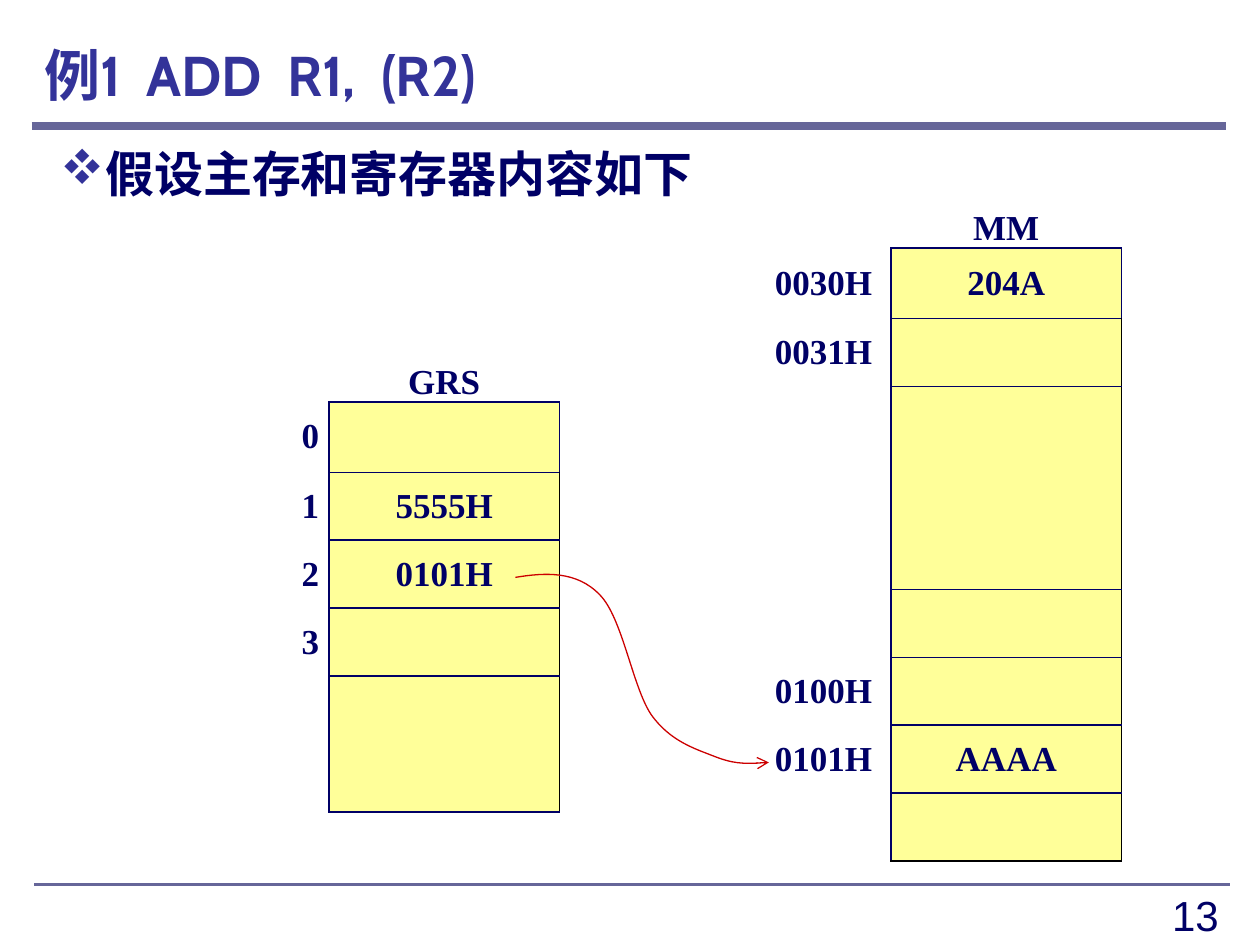
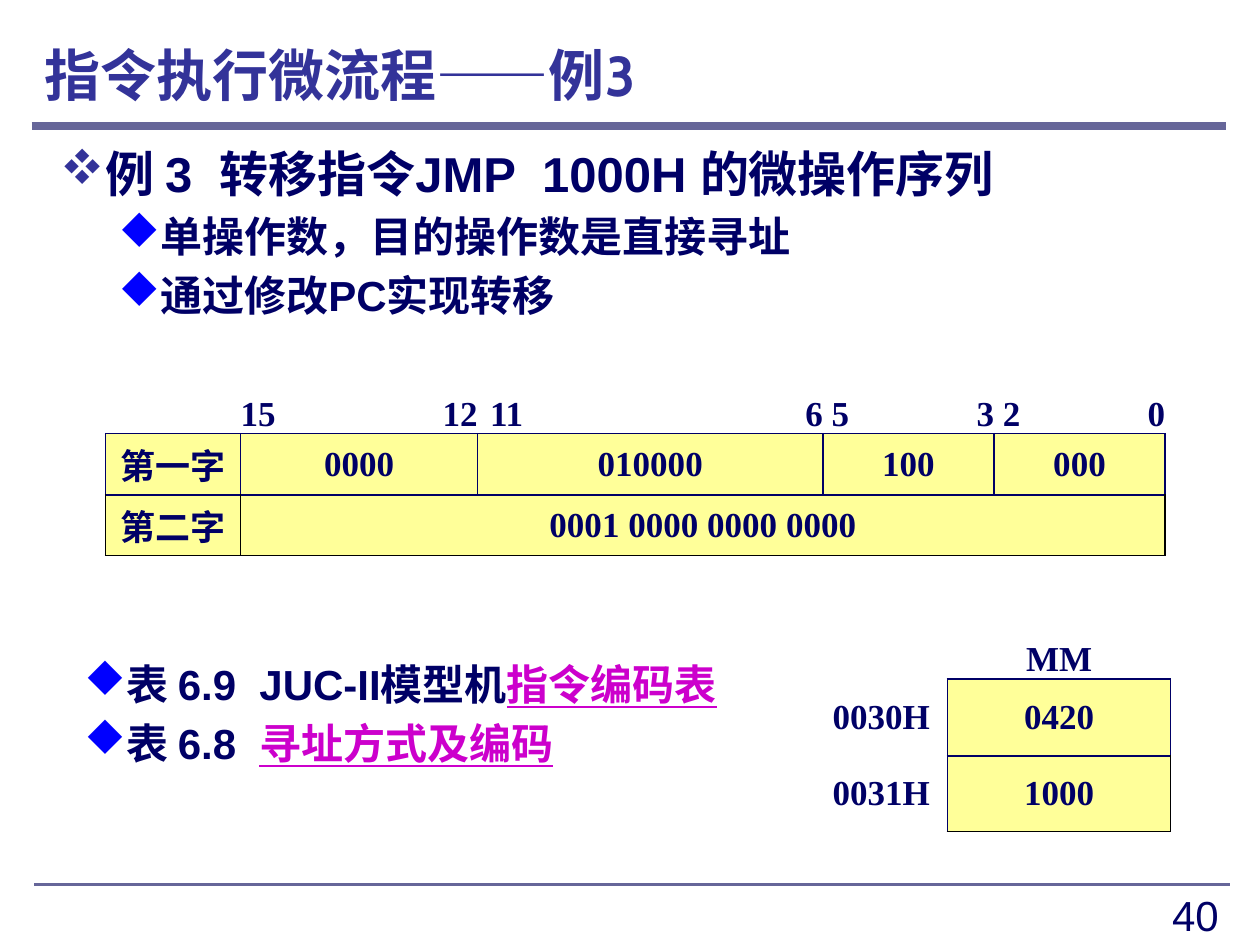
import pptx
import pptx.util
import pptx.dml.color
import pptx.enum.shapes
import pptx.enum.text
from lxml import etree
from pptx.oxml.ns import qn
from pptx.util import Cm, Pt

RGBColor = pptx.dml.color.RGBColor
Align = pptx.enum.text.PP_ALIGN
Anchor = pptx.enum.text.MSO_ANCHOR

NAVY = RGBColor(0x00, 0x00, 0x66)
INDIGO = RGBColor(0x33, 0x33, 0x99)
SLATE = RGBColor(0x66, 0x66, 0x99)
BLUE = RGBColor(0x00, 0x00, 0xFF)
MAGENTA = RGBColor(0xCC, 0x00, 0xCC)
RED = RGBColor(0xCC, 0x00, 0x00)
YELLOW = RGBColor(0xFF, 0xFF, 0x99)
BLACK = RGBColor(0x00, 0x00, 0x00)

NO_GRID_STYLE = "{2D5ABB26-0587-4C30-8999-92F81FD0307C}"

# Wingdings bullets by outline level: character, colour, text size
BULLETS = [("v", INDIGO, 28), ("u", BLUE, 24)]


# ---- Text ----
def add_run(paragraph, text, font, size, color=NAVY, bold=True, underline=None):
    run = paragraph.add_run()
    run.text = text
    run.font.name = font
    run.font.size = Pt(size)
    run.font.bold = bold
    run.font.underline = underline
    run.font.color.rgb = color


def add_bullet(paragraph, level, margin, indent):
    char, color, _ = BULLETS[level]
    paragraph.level = level
    props = paragraph._p.get_or_add_pPr()
    props.set("marL", str(Cm(margin)))
    props.set("indent", str(Cm(indent)))
    bullet_color = etree.SubElement(props, qn("a:buClr"))
    etree.SubElement(bullet_color, qn("a:srgbClr"), val=str(color))
    etree.SubElement(props, qn("a:buFont"), typeface="Wingdings")
    etree.SubElement(props, qn("a:buChar"), char=char)


def add_outline(slide, box, items, indents, inset=None):
    """Each item is a level followed by (text, is_link) pairs."""
    frame = slide.shapes.add_textbox(*map(Cm, box)).text_frame
    frame.word_wrap = True
    if inset is not None:
        frame.margin_left = frame.margin_right = Cm(inset)
        frame.margin_top = frame.margin_bottom = Cm(inset)
    for number, (level, *parts) in enumerate(items):
        paragraph = frame.add_paragraph() if number else frame.paragraphs[0]
        size = BULLETS[level][2]
        add_bullet(paragraph, level, *indents[level])
        if number:
            paragraph.space_before = Pt(size * 0.2)
        for text, is_link in parts:
            add_run(paragraph, text, "Arial", size,
                    MAGENTA if is_link else NAVY, underline=is_link or None)


# ---- Frame shared by the slides ----
def add_rule(slide, left, right, y, width):
    rule = slide.shapes.add_connector(
        pptx.enum.shapes.MSO_CONNECTOR.STRAIGHT,
        Cm(left), Cm(y), Cm(right), Cm(y))
    rule.line.color.rgb = SLATE
    rule.line.width = Pt(width)
    etree.SubElement(rule._element.spPr, qn("a:effectLst"))


def add_framed_slide(prs, title_text, page):
    slide = prs.slides.add_slide(prs.slide_layouts[5])
    add_rule(slide, 0.64, 24.71, 2.54, 4.5)
    add_rule(slide, 0.69, 24.79, 17.83, 1.5)

    title = slide.shapes.title
    title.left, title.top, title.width, title.height = map(
        Cm, (0.64, 0.64, 24.08, 1.7))
    title.text_frame.vertical_anchor = Anchor.MIDDLE
    title.text_frame.auto_size = pptx.enum.text.MSO_AUTO_SIZE.NONE
    heading = title.text_frame.paragraphs[0]
    heading.alignment = Align.LEFT
    add_run(heading, title_text, "Cabin", 32, INDIGO)

    footer = slide.shapes.add_textbox(Cm(18.9), Cm(17.81), Cm(5.92), Cm(1.12))
    footer.text_frame.word_wrap = True
    page_line = footer.text_frame.paragraphs[0]
    page_line.alignment = Align.RIGHT
    add_run(page_line, page, "Arial", 24, bold=False)
    return slide


def add_body(slide, items):
    add_outline(slide, (0.64, 2.77, 24.08, 15.16), items,
                [(0.33, 0), (1.07, 0.43)])


# ---- Tables ----
def add_grid(slide, left, top, widths, heights):
    grid = slide.shapes.add_table(
        len(heights), len(widths), Cm(left), Cm(top),
        Cm(sum(widths)), Cm(sum(heights))).table
    grid.first_row = grid.horz_banding = False
    grid._tbl.tblPr.find(qn("a:tableStyleId")).text = NO_GRID_STYLE
    for column, width in zip(grid.columns, widths):
        column.width = Cm(width)
    for row, height in zip(grid.rows, heights):
        row.height = Cm(height)
    for cell in grid.iter_cells():
        cell.margin_left = cell.margin_right = 0
        cell.margin_top = cell.margin_bottom = 0
        cell.fill.background()
    return grid


def write_cell(cell, text, align=Align.CENTER, anchor=Anchor.MIDDLE):
    cell.vertical_anchor = anchor
    paragraph = cell.text_frame.paragraphs[0]
    paragraph.alignment = align
    if text:
        add_run(paragraph, text, "Times New Roman", 20)


def box_cell(cell, left=NAVY, right=NAVY, top=NAVY, bottom=NAVY):
    props = cell._tc.get_or_add_tcPr()
    sides = zip(("lnL", "lnR", "lnT", "lnB"), (left, right, top, bottom))
    for place, (side, color) in enumerate(sides):
        line = etree.Element(qn("a:" + side), w=str(Pt(1)))
        fill = etree.SubElement(line, qn("a:solidFill"))
        etree.SubElement(fill, qn("a:srgbClr"), val=str(color))
        props.insert(place, line)
    cell.fill.solid()
    cell.fill.fore_color.rgb = YELLOW


def add_storage(slide, left, top, widths, heights, name, rows,
                label_align=Align.CENTER, label_gap=0):
    """A named column of storage cells with their addresses at the left."""
    grid = add_grid(slide, left, top, widths, heights)
    write_cell(grid.cell(0, 1), name, anchor=Anchor.BOTTOM)
    for number, (label, value) in enumerate(rows, start=1):
        address, content = grid.cell(number, 0), grid.cell(number, 1)
        address.margin_right = Cm(label_gap)
        write_cell(address, label, label_align)
        write_cell(content, value)
        box_cell(content, right=NAVY if number == 1 else BLACK,
                 bottom=BLACK if number == len(rows) else NAVY)
    return grid


def add_instruction_words(slide, left, top):
    widths = [2.72, 2.34, 2.44, 1.4, 2.03, 1.5, 2.03, 1.57, 1.88, 1.57, 1.88]
    grid = add_grid(slide, left, top, widths, [1.17, 1.24, 1.22])

    # Bit numbers: column, text, alignment, left gap
    bits = [(1, "15", Align.LEFT, 0), (2, "12", Align.RIGHT, 0),
            (3, "11", Align.LEFT, 0.25), (6, "6", Align.RIGHT, 0),
            (7, "5", Align.LEFT, 0.18), (8, "3", Align.RIGHT, 0),
            (9, "2", Align.LEFT, 0.18), (10, "0", Align.RIGHT, 0)]
    for column, text, align, gap in bits:
        cell = grid.cell(0, column)
        cell.margin_left = Cm(gap)
        write_cell(cell, text, align, Anchor.BOTTOM)

    # Fields: row, first column, last column, text
    fields = [(1, 0, 0, "第一字"), (1, 1, 2, "0000"), (1, 3, 6, "010000"),
              (1, 7, 8, "100"), (1, 9, 10, "000"),
              (2, 0, 0, "第二字"), (2, 1, 10, "0001 0000 0000 0000")]
    for row, first, last, text in fields:
        edge = NAVY if row == 1 else BLACK
        for column in range(first, last + 1):
            box_cell(grid.cell(row, column), left=edge, right=edge, bottom=edge)
        if last > first:
            grid.cell(row, first).merge(grid.cell(row, last))
        write_cell(grid.cell(row, first), text)


# ---- Curved pointer from a register to a memory address ----
def add_pointer(slide, left, top):
    start = (0, 0.13)
    curve = [(0.61, 0.03), (1.24, 0), (1.7, 0.48),
             (2.16, 0.94), (2.36, 2.34), (2.74, 2.9),
             (3.12, 3.43), (3.61, 3.58), (3.99, 3.73),
             (4.39, 3.89), (4.75, 3.89), (5.11, 3.86)]
    builder = slide.shapes.build_freeform(Cm(left + start[0]), Cm(top + start[1]))
    builder.add_line_segments(
        [(Cm(left + x), Cm(top + y)) for x, y in curve], close=False)
    pointer = builder.convert_to_shape()
    pointer.shadow.inherit = False
    pointer.fill.background()
    pointer.line.color.rgb = RED
    pointer.line.width = Pt(0.75)
    etree.SubElement(pointer.line._get_or_add_ln(), qn("a:tailEnd"), type="arrow")

    # Every three points form one Bézier segment
    outline = next(pointer._element.iter(qn("a:path")))
    steps = outline.findall(qn("a:lnTo"))
    for first in range(0, len(steps), 3):
        bend = etree.SubElement(outline, qn("a:cubicBezTo"))
        for step in steps[first:first + 3]:
            bend.append(step[0])
            outline.remove(step)


# ---- Slides ----
def build_add_example(prs):
    slide = add_framed_slide(prs, "例1  ADD  R1,  (R2)", "13")
    add_body(slide, [(0, ("假设主存和寄存器内容如下", False))])
    widths, head, first, cell = [2.72, 4.65], 1.32, 1.42, 1.37
    add_storage(
        slide, 15.24, 3.68, widths, [head, first, cell, 4.09] + [cell] * 4, "MM",
        [("0030H", "204A"), ("0031H", ""), ("", ""), ("", ""),
         ("0100H", ""), ("0101H", "AAAA"), ("", "")])
    registers = add_storage(
        slide, 3.91, 6.78, widths, [head, first] + [cell] * 5, "GRS",
        [("0", ""), ("1", "5555H"), ("2", "0101H"), ("3", ""),
         ("", ""), ("", "")], Align.RIGHT, 0.2)
    registers.cell(5, 1).merge(registers.cell(6, 1))
    add_pointer(slide, 10.39, 11.51)


def build_jump_example(prs):
    slide = add_framed_slide(prs, "指令执行微流程——例3", "40")
    add_body(slide, [
        (0, ("例 3  转移指令JMP  1000H 的微操作序列", False)),
        (1, ("单操作数，目的操作数是直接寻址", False)),
        (1, ("通过修改PC实现转移", False))])
    add_instruction_words(slide, 2.13, 7.57)
    add_storage(slide, 16.43, 12.22, [2.67, 4.5], [1.47, 1.55, 1.52], "MM",
                [("0030H", "0420"), ("0031H", "1000")])
    add_outline(slide, (0.53, 13.28, 14.78, 2.26), [
        (1, ("表 6.9  JUC-II模型机", False), ("指令编码表", True)),
        (1, ("表 6.8  ", False), ("寻址方式及编码", True))],
        [None, (1.17, 0)], inset=0)


def main():
    prs = pptx.Presentation()
    prs.slide_width, prs.slide_height = Cm(25.4), Cm(19.05)
    build_add_example(prs)
    build_jump_example(prs)
    prs.save("out.pptx")


if __name__ == "__main__":
    main()
